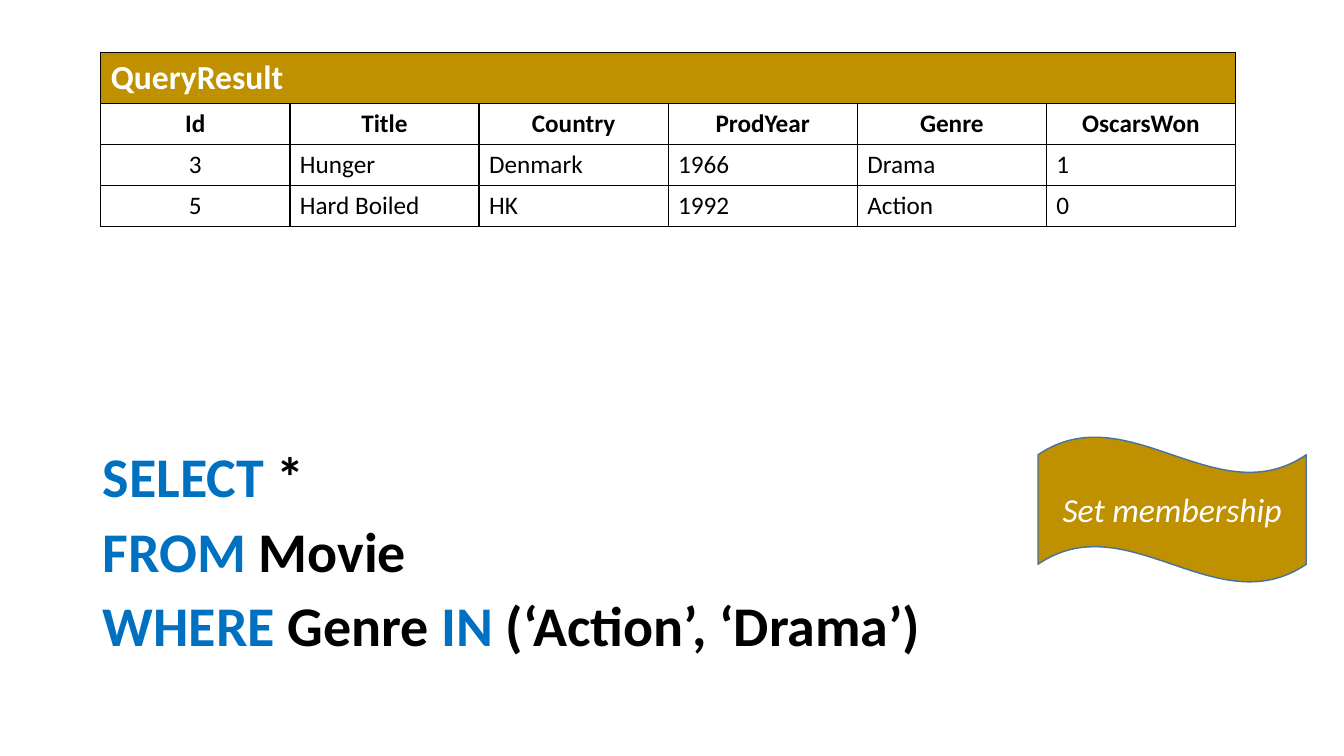
from pptx import Presentation
from pptx.dml.color import RGBColor
from pptx.enum.shapes import MSO_SHAPE as Shape
from pptx.enum.text import MSO_ANCHOR as Anchor, MSO_AUTO_SIZE as AutoSize, PP_ALIGN as Align
from pptx.oxml import parse_xml
from pptx.oxml.ns import nsdecls
from pptx.util import Cm, Pt


def color(value):
    """Turn a hex string into a colour."""
    return RGBColor.from_string(value)


class QuerySlide:
    """Hold the style and the current slide."""

    FONT = "Calibri"
    GOLD, BLUE, BLACK, WHITE, OUTLINE = "BF9000", "0070C0", "000000", "FFFFFF", "43739E"

    def __init__(self, presentation):
        """Add a slide that keeps only its body placeholder."""
        self.slide = presentation.slides.add_slide(presentation.slide_layouts[1])
        title = self.slide.shapes.title.element
        title.getparent().remove(title)

    def run(self, paragraph, text, size, fill, bold=False, italic=False):
        """Add one formatted run."""
        run = paragraph.add_run()
        run.text = text
        font = run.font
        font.name, font.size, font.bold, font.italic = self.FONT, Pt(size), bold, italic
        font.color.rgb = color(fill)

    def query(self, left, top, width, height, lines):
        """Fill the body placeholder with query lines, keywords in blue."""
        body = self.slide.placeholders[1]
        body.left, body.top, body.width, body.height = Cm(left), Cm(top), Cm(width), Cm(height)
        frame = body.text_frame
        frame.auto_size, frame.vertical_anchor = AutoSize.NONE, Anchor.TOP
        for index, line in enumerate(lines):
            paragraph = frame.add_paragraph() if index else frame.paragraphs[0]
            properties = paragraph._p.get_or_add_pPr()
            properties.set("marL", "0")
            properties.set("indent", "0")
            properties.append(parse_xml(f"<a:buNone {nsdecls('a')}/>"))
            paragraph.line_spacing = 0.9
            paragraph.space_before = Pt(10 if index else 0)
            for position, text in enumerate(line):
                self.run(paragraph, text, 40, self.BLACK if position % 2 else self.BLUE, bold=True)

    def cell(self, cell, text, size, fill, ink, bold, align):
        """Write one table cell with thin black borders."""
        properties = cell._tc.get_or_add_tcPr()
        for side in "LRTB":
            properties.append(parse_xml(
                f'<a:ln{side} {nsdecls("a")} w="12700"><a:solidFill>'
                f'<a:srgbClr val="{self.BLACK}"/></a:solidFill></a:ln{side}>'))
        cell.fill.solid()
        cell.fill.fore_color.rgb = color(fill)
        if text:
            paragraph = cell.text_frame.paragraphs[0]
            paragraph.alignment = align
            self.run(paragraph, text, size, ink, bold)

    def table(self, left, top, width, name, rows):
        """Add a table with a merged name row above a header row."""
        columns = len(rows[0])
        name_height, row_height = 1.29, 1.03
        frame = self.slide.shapes.add_table(
            len(rows) + 1, columns, Cm(left), Cm(top), Cm(width),
            Cm(name_height + row_height * len(rows)))
        table = frame.table
        table.first_row = table.horz_banding = False
        for column in table.columns:
            column.width = Cm(width / columns)
        for index, row in enumerate(table.rows):
            row.height = Cm(row_height if index else name_height)
        for index in range(columns):
            self.cell(table.cell(0, index), "" if index else name, 24,
                      self.GOLD, self.WHITE, True, Align.LEFT)
        table.cell(0, 0).merge(table.cell(0, columns - 1))
        for row_index, row in enumerate(rows, 1):
            header = row_index == 1
            for index, text in enumerate(row):
                align = Align.CENTER if header or index == 0 else Align.LEFT
                self.cell(table.cell(row_index, index), text, 18,
                          self.WHITE, self.BLACK, header, align)

    def wave(self, left, top, width, height, text):
        """Add a wave banner with an italic label."""
        shape = self.slide.shapes.add_shape(Shape.WAVE, Cm(left), Cm(top), Cm(width), Cm(height))
        shape.shadow.inherit = False
        shape.fill.solid()
        shape.fill.fore_color.rgb = color(self.GOLD)
        shape.line.color.rgb = color(self.OUTLINE)
        shape.line.width = Pt(1)
        shape.text_frame.word_wrap = True
        shape.text_frame.vertical_anchor = Anchor.MIDDLE
        paragraph = shape.text_frame.paragraphs[0]
        paragraph.alignment = Align.CENTER
        self.run(paragraph, text, 24, self.WHITE, italic=True)


def main():
    """Build the slide and save it."""
    presentation = Presentation()
    presentation.slide_width, presentation.slide_height = Cm(33.87), Cm(19.05)
    slide = QuerySlide(presentation)
    slide.query(2.34, 11.2, 29.2, 6.48, [
        ["SELECT", " *"],
        ["FROM", " Movie"],
        ["WHERE ", "Genre ", "IN", " (‘Action’, ‘Drama’)"],
    ])
    slide.table(2.54, 1.32, 28.6, "QueryResult", [
        ["Id", "Title", "Country", "ProdYear", "Genre", "OscarsWon"],
        ["3", "Hunger", "Denmark", "1966", "Drama", "1"],
        ["5", "Hard Boiled", "HK", "1992", "Action", "0"],
    ])
    slide.wave(26.16, 11, 6.76, 3.68, "Set membership")
    presentation.save("out.pptx")


if __name__ == "__main__":
    main()
